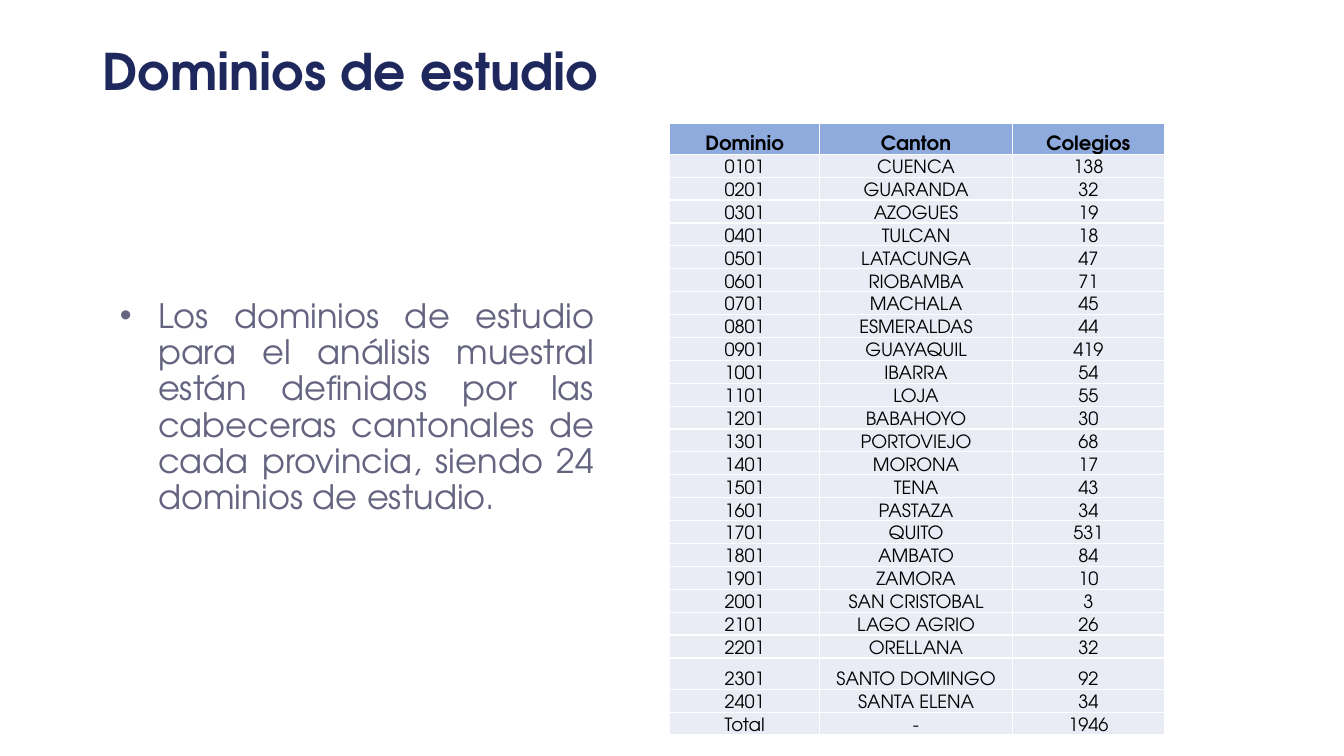
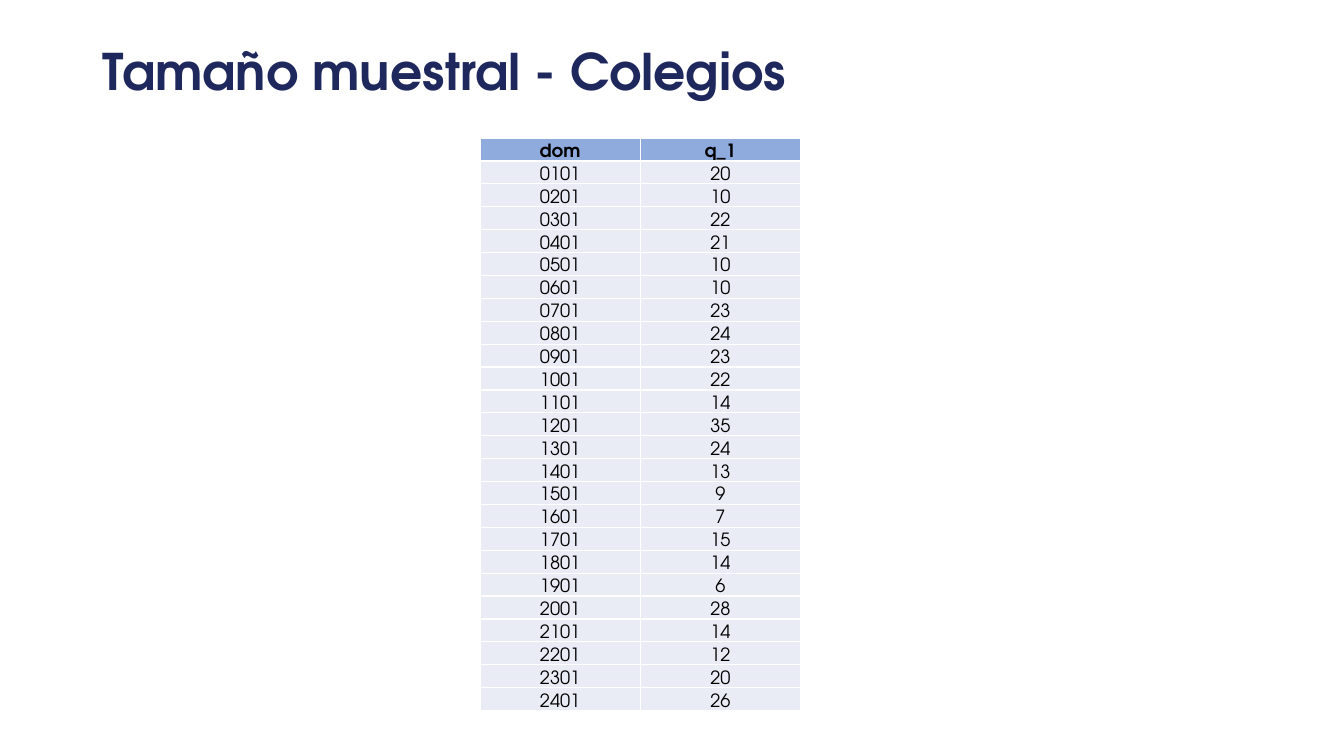
from dataclasses import dataclass

from lxml.etree import SubElement
from pptx import Presentation
from pptx.dml.color import RGBColor
from pptx.enum.text import MSO_ANCHOR as Anchor, PP_ALIGN as Align
from pptx.oxml import parse_xml
from pptx.oxml.ns import nsdecls, qn
from pptx.slide import Slide
from pptx.table import _Cell as Cell
from pptx.text.text import TextFrame, _Paragraph as Paragraph
from pptx.util import Inches, Pt


@dataclass(frozen=True)
class Theme:
    font: str = "TeX Gyre Adventor"
    title: str = "1F285D"
    body: str = "646481"
    cell_text: str = "000000"
    header_fill: str = "8FAADC"
    row_fill: str = "E9EBF5"
    border: str = "FFFFFF"
    title_size: int = 36
    body_size: int = 24
    header_size: int = 14
    cell_size: int = 13


@dataclass(frozen=True)
class Box:
    left: float
    top: float
    width: float
    height: float


@dataclass(frozen=True)
class TableSpec:
    """Rows in tall_rows are TALL_ROW high; the others share the rest of height."""
    left: float
    top: float
    height: float
    columns: tuple[float, ...]
    rows: list[tuple[str, ...]]
    header_size: int
    tall_rows: tuple[int, ...] = ()


THEME = Theme()
TITLE_BOX = Box(0.92, 0.37, 8.46, 0.74)
BODY_BOX = Box(1.09, 2.92, 4.9, 2.6)
TALL_ROW = 0.31
BULLET_INDENT = 0.38

SCHOOLS_BY_CANTON = [
    ("CUENCA", 138), ("GUARANDA", 32), ("AZOGUES", 19), ("TULCAN", 18),
    ("LATACUNGA", 47), ("RIOBAMBA", 71), ("MACHALA", 45), ("ESMERALDAS", 44),
    ("GUAYAQUIL", 419), ("IBARRA", 54), ("LOJA", 55), ("BABAHOYO", 30),
    ("PORTOVIEJO", 68), ("MORONA", 17), ("TENA", 43), ("PASTAZA", 34),
    ("QUITO", 531), ("AMBATO", 84), ("ZAMORA", 10), ("SAN CRISTOBAL", 3),
    ("LAGO AGRIO", 26), ("ORELLANA", 32), ("SANTO DOMINGO", 92),
    ("SANTA ELENA", 34),
]
SAMPLE_SIZES = [20, 10, 22, 21, 10, 10, 23, 24, 23, 22, 14, 35,
                24, 13, 9, 7, 15, 14, 6, 28, 14, 12, 20, 26]


def domain_code(province: int) -> str:
    return f"{province:02}01"


def write_text(frame: TextFrame, text: str, *, size: int, color: str,
               bold: bool = False, align: Align = Align.LEFT,
               line_spacing: float = 1.0, space_before: int = 0) -> Paragraph:
    paragraph = frame.paragraphs[0]
    paragraph.alignment = align
    paragraph.line_spacing = line_spacing
    paragraph.space_before = Pt(space_before)
    run = paragraph.add_run()
    run.text = text
    run.font.name = THEME.font
    run.font.size = Pt(size)
    run.font.bold = bold
    run.font.color.rgb = RGBColor.from_string(color)
    return paragraph


def add_text_frame(slide: Slide, box: Box, anchor: Anchor) -> TextFrame:
    shape = slide.shapes.add_textbox(Inches(box.left), Inches(box.top),
                                     Inches(box.width), Inches(box.height))
    frame = shape.text_frame
    frame.word_wrap = True
    frame.vertical_anchor = anchor
    return frame


def add_titled_slide(presentation: Presentation, title: str) -> Slide:
    slide = presentation.slides.add_slide(presentation.slide_layouts[6])
    write_text(add_text_frame(slide, TITLE_BOX, Anchor.MIDDLE), title,
               size=THEME.title_size, color=THEME.title, bold=True, line_spacing=0.9)
    return slide


def add_bullet_text(slide: Slide, text: str) -> None:
    paragraph = write_text(add_text_frame(slide, BODY_BOX, Anchor.TOP), text,
                           size=THEME.body_size, color=THEME.body,
                           align=Align.JUSTIFY, line_spacing=0.9, space_before=10)
    properties = paragraph._p.get_or_add_pPr()
    properties.set("marL", str(Inches(BULLET_INDENT)))
    properties.set("indent", str(-Inches(BULLET_INDENT)))
    SubElement(properties, qn("a:buFont"), typeface="Arial")
    SubElement(properties, qn("a:buChar"), char="•")


def format_cell(cell: Cell, fill: str) -> None:
    cell.vertical_anchor = Anchor.BOTTOM
    cell.margin_left = cell.margin_right = cell.margin_top = Inches(0.01)
    cell.margin_bottom = 0
    cell.fill.solid()
    cell.fill.fore_color.rgb = RGBColor.from_string(fill)
    properties = cell._tc.get_or_add_tcPr()
    for position, side in enumerate(("lnL", "lnR", "lnT", "lnB")):
        properties.insert(position, parse_xml(
            f'<a:{side} {nsdecls("a")} w="{Pt(1)}"><a:solidFill>'
            f'<a:srgbClr val="{THEME.border}"/></a:solidFill></a:{side}>'))


def add_data_table(slide: Slide, spec: TableSpec) -> None:
    frame = slide.shapes.add_table(
        len(spec.rows), len(spec.columns), Inches(spec.left), Inches(spec.top),
        Inches(sum(spec.columns)), Inches(spec.height))
    table = frame.table
    table.horz_banding = False
    for column, width in zip(table.columns, spec.columns):
        column.width = Inches(width)
    tall_count = len(spec.tall_rows)
    row_height = (spec.height - tall_count * TALL_ROW) / (len(spec.rows) - tall_count)
    for row_index, values in enumerate(spec.rows):
        is_header = row_index == 0
        is_tall = row_index in spec.tall_rows
        table.rows[row_index].height = Inches(TALL_ROW if is_tall else row_height)
        for column_index, value in enumerate(values):
            cell = table.cell(row_index, column_index)
            format_cell(cell, THEME.header_fill if is_header else THEME.row_fill)
            write_text(cell.text_frame, value, color=THEME.cell_text,
                       size=spec.header_size if is_header else THEME.cell_size,
                       bold=is_header, align=Align.CENTER)


def add_domains_slide(presentation: Presentation) -> None:
    slide = add_titled_slide(presentation, "Dominios de estudio")
    add_bullet_text(slide, "Los dominios de estudio para el análisis muestral están "
                           "definidos por las cabeceras cantonales de cada provincia, "
                           "siendo 24 dominios de estudio.")
    total = sum(schools for _, schools in SCHOOLS_BY_CANTON)
    rows = [("Dominio", "Canton", "Colegios")]
    rows += [(domain_code(province), canton, str(schools))
             for province, (canton, schools) in enumerate(SCHOOLS_BY_CANTON, start=1)]
    rows.append(("Total", "-", str(total)))
    add_data_table(slide, TableSpec(6.64, 1.22, 5.78, (1.49, 1.91, 1.51), rows,
                                    THEME.header_size, tall_rows=(0, 23)))


def add_sample_slide(presentation: Presentation) -> None:
    slide = add_titled_slide(presentation, "Tamaño muestral - Colegios")
    rows = [("dom", "q_1")]
    rows += [(domain_code(province), str(size))
             for province, size in enumerate(SAMPLE_SIZES, start=1)]
    add_data_table(slide, TableSpec(4.76, 1.37, 5.68, (1.59, 1.59), rows,
                                    THEME.cell_size))


def main() -> None:
    presentation = Presentation()
    presentation.slide_width = Inches(13.33)
    presentation.slide_height = Inches(7.5)
    add_domains_slide(presentation)
    add_sample_slide(presentation)
    presentation.save("out.pptx")


if __name__ == "__main__":
    main()
